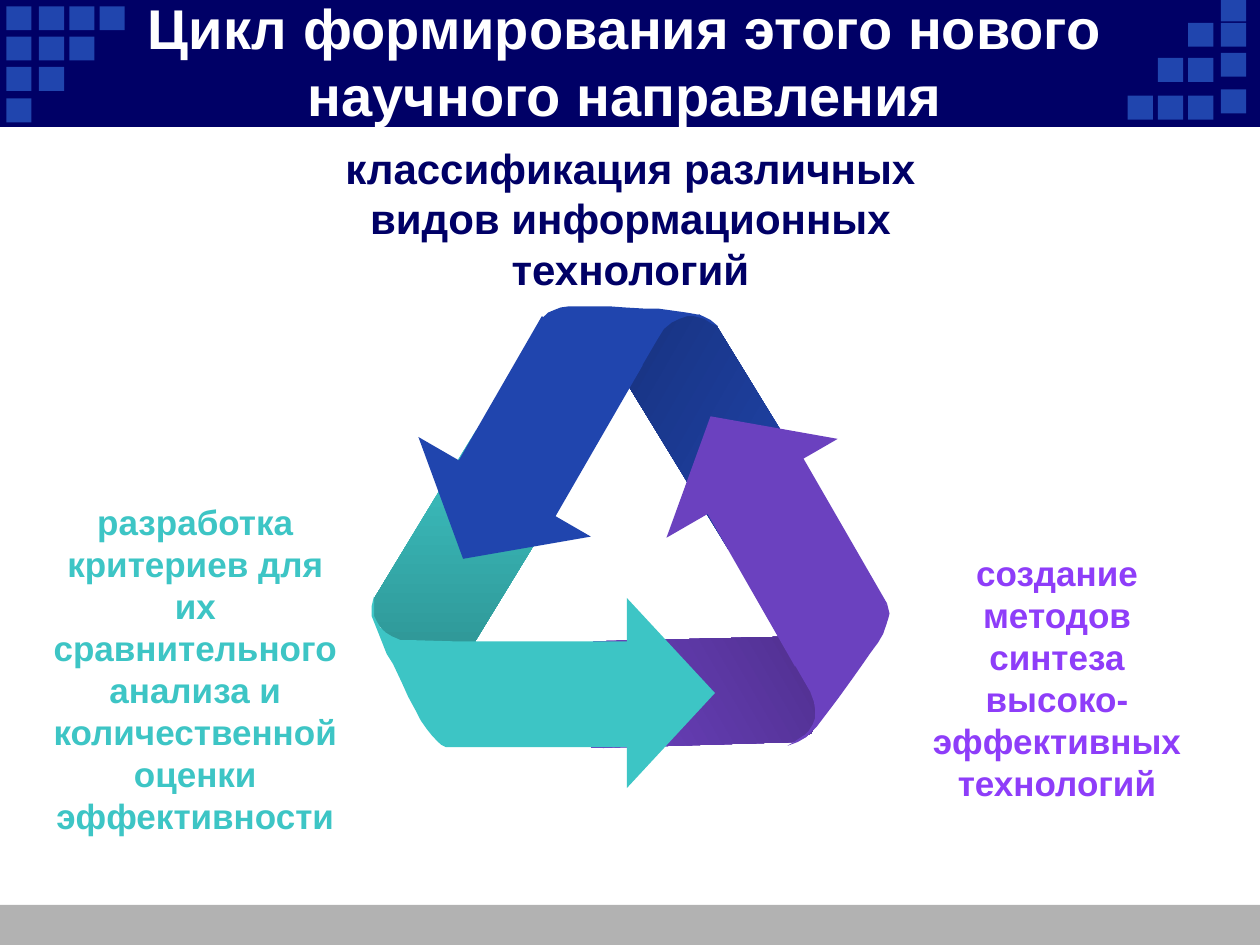
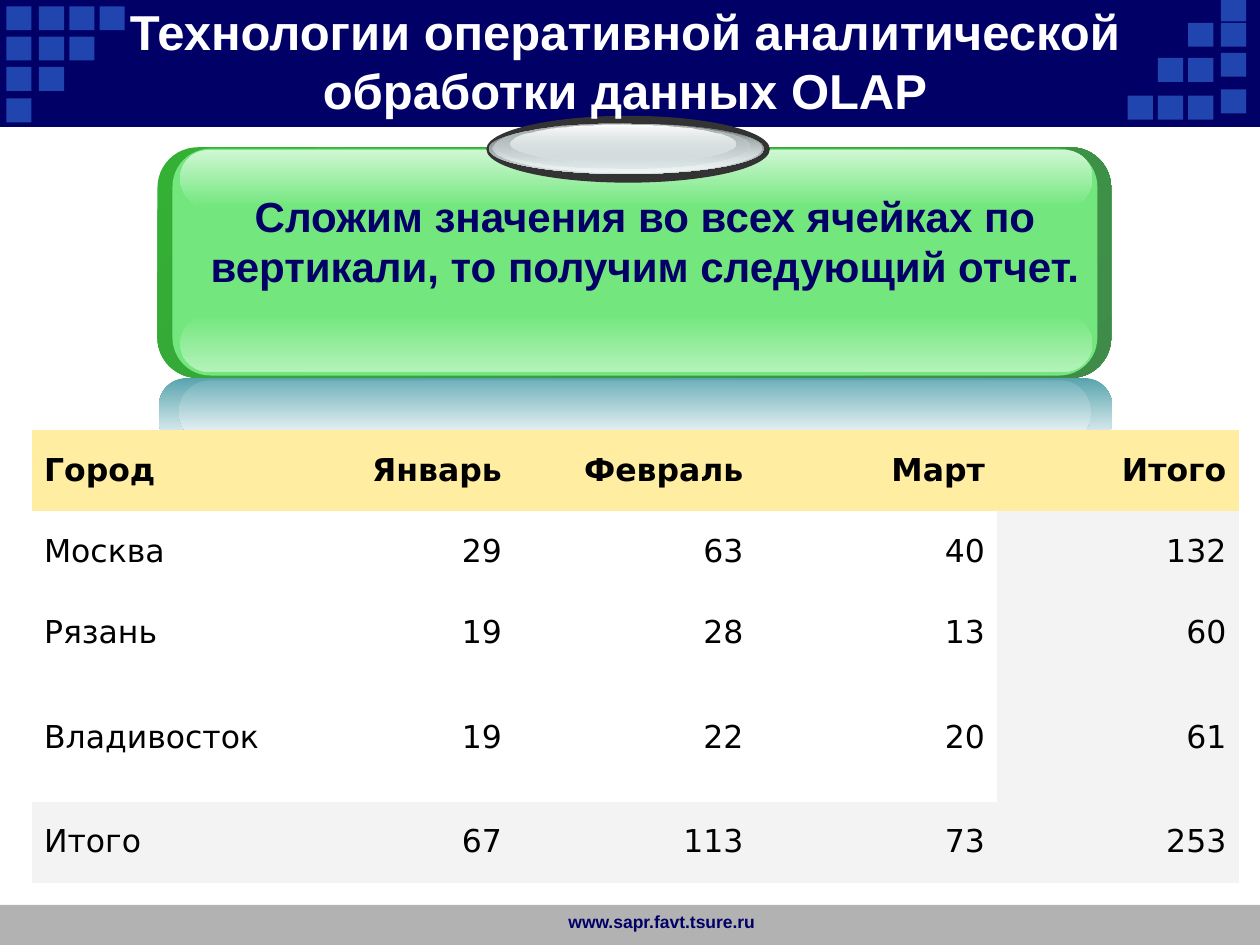
"""Build two slides: the cycle of a new research field and an OLAP summary report."""
from dataclasses import dataclass
from typing import NamedTuple

from lxml import etree
from pptx import Presentation
from pptx import util as u
from pptx.dml import color
from pptx.enum import shapes, text
from pptx.oxml import ns

NAVY, BLUE, TEAL, PURPLE = "000066", "2045AE", "3DC5C5", "6B41BF"
VIOLET, WHITE, BLACK, GRAY = "8E3DF9", "FFFFFF", "000000", "B2B2B2"
GREEN, SILVER = "73E77E", "D6E1E2"
HEADER_FILL, TOTAL_FILL = "FFEDA1", "F3F3F3"
NO_GRID_STYLE = "{2D5ABB26-0587-4C30-8999-92F81FD0307C}"

RECT = shapes.MSO_SHAPE.RECTANGLE
ROUND = shapes.MSO_SHAPE.ROUNDED_RECTANGLE
OVAL = shapes.MSO_SHAPE.OVAL
TRIANGLE = shapes.MSO_SHAPE.ISOSCELES_TRIANGLE
LEFT, CENTER, RIGHT = text.PP_ALIGN.LEFT, text.PP_ALIGN.CENTER, text.PP_ALIGN.RIGHT
TOP, MIDDLE = text.MSO_ANCHOR.TOP, text.MSO_ANCHOR.MIDDLE


class Gradient(NamedTuple):
    """Two-colour gradient; the angle is clockwise and alphas are percentages."""
    start: str
    end: str
    angle: float = 90
    start_alpha: int = 100
    end_alpha: int = 100


@dataclass
class Figure:
    """Preset shape with its box in points."""
    kind: shapes.MSO_SHAPE
    box: tuple
    fill: str | Gradient
    adjustment: float | None = None
    rotation: float = 0


@dataclass
class Outline:
    """Closed polygon with its vertices in points."""
    fill: str | Gradient
    points: list


@dataclass
class Label:
    """Text in a box given in points."""
    content: str
    box: tuple
    size: float
    color: str
    align: text.PP_ALIGN = CENTER
    anchor: text.MSO_ANCHOR = TOP


TEAL_BAND = Outline(Gradient(TEAL, "2C8D8D"), [
    (326.9, 275.8), (251.3, 399.6), (213.1, 352.8), (213.8, 342), (272.2, 245.5)])
BLUE_BAND = Outline(Gradient(BLUE, "17317C", 210), [
    (416.2, 313.9), (338.4, 186.5), (399.6, 180), (409.7, 186.5), (470.2, 285.1)])
BLUE_ARM = Outline(BLUE, [
    (308.2, 311), (367.2, 208.8), (338.4, 193), (309.6, 180.7), (252.7, 279.4)])
BLUE_FOLD = Outline(BLUE, [
    (363.6, 214.6), (308.9, 182.9), (311, 180.7), (313.2, 178.6), (316.8, 177.1),
    (320.4, 175.7), (325.4, 175), (347.8, 175), (357.1, 175.7), (369.4, 176.4),
    (376.6, 176.4), (392.4, 178.6), (400.3, 180), (406.1, 182.9), (410.4, 186.5),
    (406.8, 185), (402.5, 182.2), (399.6, 181.4), (396.7, 180.7), (392.4, 180.7),
    (388.1, 182.2), (383.8, 184.3), (379.4, 187.9), (375.8, 193.7)])
PURPLE_BAND = Outline(Gradient(PURPLE, "4D2E89", 330), [
    (339.1, 366.5), (488.9, 362.9), (463.7, 419), (452.9, 424.1), (337.7, 427.7)])
PURPLE_ARM = Outline(PURPLE, [
    (395.3, 277.9), (454.3, 380.9), (482.4, 364.3), (506.9, 344.9), (450, 246.2)])
PURPLE_FOLD = Outline(PURPLE, [
    (452.2, 376.6), (506.9, 344.9), (507.6, 347.8), (508.3, 350.6), (507.6, 353.5),
    (506.2, 357.8), (504.7, 362.2), (501.8, 367.2), (497.5, 373), (492.5, 380.2),
    (487.4, 387.4), (480.2, 397.4), (475.9, 403.2), (466.6, 415.4), (460.8, 421.2),
    (455.8, 424.1), (450, 426.2), (453.6, 424.1), (457.9, 421.2), (460.1, 419.8),
    (462.2, 417.6), (464.4, 414), (465.8, 410.4), (465.8, 405.4), (465.1, 401),
    (463, 395.3)])
TEAL_FOLD = Outline(TEAL, [
    (258.5, 366.5), (258.5, 427), (254.9, 427), (252, 425.5), (249.8, 423.4),
    (247, 420.5), (244.1, 416.9), (240.5, 411.8), (237.6, 406.1), (233.3, 398.2),
    (229.7, 390.2), (224.6, 379.4), (221, 373.7), (215.3, 359.3), (212.4, 352.1),
    (212.4, 346.3), (213.8, 340.6), (213.8, 352.1), (215.3, 355), (217.4, 358.6),
    (220.3, 361.4), (223.9, 363.6), (229, 365.8), (235.4, 365.8)])
TEAL_ARM = Outline(TEAL, [
    (253.4, 366.5), (254.2, 397.4), (258.5, 427), (379.4, 427), (379.4, 366.5)])

CYCLE = [
    TEAL_BAND, BLUE_BAND,
    Figure(TRIANGLE, (219.6, 275, 113.8, 47.5), BLUE, rotation=210),
    BLUE_ARM, BLUE_FOLD, PURPLE_BAND,
    Figure(TRIANGLE, (361.4, 234.7, 113, 47.5), PURPLE, rotation=330),
    PURPLE_ARM, PURPLE_FOLD, TEAL_FOLD,
    Figure(TRIANGLE, (329, 370.8, 108.7, 50.4), TEAL, rotation=90),
    TEAL_ARM,
]
CYCLE_LABELS = [
    Label("создание методов синтеза высоко-эффективных технологий",
          (516.2, 311.8, 175.7, 151.2), 20, VIOLET),
    Label("разработка критериев для их сравнительного анализа и количественной "
          "оценки эффективности", (18, 282.2, 187.2, 199.4), 20, TEAL),
    Label("классификация различных видов информационных технологий",
          (174.2, 77.8, 372.2, 93.6), 24, NAVY),
]

PLAQUE = [
    Figure(ROUND, (90, 84.2, 545, 131.8), Gradient("34B034", "3F8B4A", 45), 0.175),
    Figure(ROUND, (98.6, 85, 528.5, 129.6), GREEN, 0.167),
    Figure(ROUND, (103, 180, 521.3, 32.4), Gradient(GREEN, "B3F2B9"), 0.5),
    Figure(ROUND, (103, 85.7, 521.3, 32.4), Gradient("D0F7D4", GREEN), 0.5),
    Figure(OVAL, (277.9, 66.2, 162, 38.2), "333333"),
    Figure(OVAL, (279.4, 70.6, 157, 28.8), Gradient("636869", SILVER)),
    Figure(OVAL, (281.5, 70.6, 153.4, 28.1), Gradient(SILVER, "F1F5F5", start_alpha=0)),
    Figure(OVAL, (283, 70.6, 145.4, 25.9), Gradient("AAB2B3", SILVER, end_alpha=48)),
    Figure(OVAL, (291.6, 71.3, 128.9, 21.6), Gradient(WHITE, SILVER, end_alpha=38)),
    Figure(ROUND, (90.7, 216, 545, 40.3), Gradient("58A4AE", WHITE), 0.404),
    Figure(ROUND, (102.2, 217.4, 521.3, 36), Gradient("72B2BB", WHITE), 0.5),
]
REPORT_LABELS = [
    Label("Сложим значения во всех ячейках по вертикали, то получим следующий отчет.",
          (109.4, 105.1, 518.4, 65.5), 24, NAVY),
    Label("www.sapr.favt.tsure.ru", (300.2, 517, 138.2, 23), 10, NAVY, RIGHT),
]
REPORT = [
    ("Город", "Январь", "Февраль", "Март", "Итого"),
    ("Москва", "29", "63", "40", "132"),
    ("Рязань", "19", "28", "13", "60"),
    ("Владивосток", "19", "22", "20", "61"),
    ("Итого", "67", "113", "73", "253"),
]
ROW_HEIGHTS = (46.3, 46.3, 46.3, 73.2, 46.3)
COLUMN_WIDTH = 138

SQUARE = (14.4, 13.7)
LEFT_COLUMNS, LEFT_ROWS = (3.6, 22.3, 39.6, 56.9), (3.6, 20.9, 38.2, 56.2)
RIGHT_COLUMNS, RIGHT_ROWS = (644.4, 661.7, 679), (54.7, 33.1, 13)
EDGE_COLUMN, EDGE_ROWS = 697.7, (-1.4, 13, 30.2, 51.1)


def rgb(value: str) -> color.RGBColor:
    """Turn a hex string into a colour."""
    return color.RGBColor.from_string(value)


def paint(fill, look: str | Gradient) -> None:
    """Apply a solid or gradient fill."""
    if isinstance(look, str):
        fill.solid()
        fill.fore_color.rgb = rgb(look)
        return
    fill.gradient()
    fill.gradient_angle = (360 - look.angle) % 360
    colors = (look.start, look.end)
    alphas = (look.start_alpha, look.end_alpha)
    for stop, value, alpha, position in zip(fill.gradient_stops, colors, alphas, (0, 1)):
        stop.color.rgb = rgb(value)
        stop.position = position
        if alpha < 100:
            element = stop._gs.find(ns.qn("a:srgbClr"))
            etree.SubElement(element, ns.qn("a:alpha"), val=str(alpha * 1000))


def finish(shape, look: str | Gradient) -> None:
    """Fill a shape and remove its line and shadow."""
    paint(shape.fill, look)
    shape.line.fill.background()
    shape.shadow.inherit = False


def draw_figure(slide, figure: Figure):
    """Draw a preset shape."""
    shape = slide.shapes.add_shape(figure.kind, *map(u.Pt, figure.box))
    finish(shape, figure.fill)
    shape.rotation = figure.rotation
    if figure.adjustment is not None:
        shape.adjustments[0] = figure.adjustment
    return shape


def draw_outline(slide, outline: Outline) -> None:
    """Draw a closed polygon."""
    start, *rest = [(u.Pt(x), u.Pt(y)) for x, y in outline.points]
    builder = slide.shapes.build_freeform(*start)
    builder.add_line_segments(rest, close=True)
    finish(builder.convert_to_shape(), outline.fill)


def draw_all(slide, items: list) -> None:
    """Draw figures and outlines from back to front."""
    for item in items:
        if isinstance(item, Outline):
            draw_outline(slide, item)
        else:
            draw_figure(slide, item)


def write(frame, content: str, *, size: float, ink: str = BLACK, bold: bool = True,
          font: str = "Arial", align: text.PP_ALIGN = CENTER) -> None:
    """Write one formatted paragraph into a text frame."""
    paragraph = frame.paragraphs[0]
    paragraph.alignment = align
    run = paragraph.add_run()
    run.text = content
    run.font.name, run.font.size, run.font.bold = font, u.Pt(size), bold
    run.font.color.rgb = rgb(ink)


def draw_label(slide, label: Label) -> None:
    """Draw a wrapped text box."""
    frame = slide.shapes.add_textbox(*map(u.Pt, label.box)).text_frame
    frame.word_wrap = True
    frame.vertical_anchor = label.anchor
    write(frame, label.content, size=label.size, ink=label.color, align=label.align)


def add_base_slide(presentation):
    """Add a blank slide with the shared bands and corner squares."""
    slide = presentation.slides.add_slide(presentation.slide_layouts[6])
    draw_figure(slide, Figure(RECT, (0, 517, 720, 23), GRAY))
    header = draw_figure(slide, Figure(RECT, (0, 0, 720, 72), NAVY))
    header.line.color.rgb = rgb(NAVY)
    header.line.width = u.Pt(0.75)
    corners = [(x, y) for row, y in enumerate(LEFT_ROWS)
               for x in LEFT_COLUMNS[:len(LEFT_COLUMNS) - row]]
    corners += [(x, y) for column, x in enumerate(RIGHT_COLUMNS)
                for y in RIGHT_ROWS[:column + 1]]
    corners += [(EDGE_COLUMN, y) for y in EDGE_ROWS]
    for corner in corners:
        draw_figure(slide, Figure(RECT, corner + SQUARE, BLUE))
    return slide


def draw_title(slide, content: str, size: float) -> None:
    """Draw the slide title over the header band."""
    draw_label(slide, Label(content, (66.2, 12.2, 581.8, 44.6), size, WHITE, anchor=MIDDLE))


def draw_report(slide) -> None:
    """Draw the city report with highlighted header and totals."""
    last_row, last_column = len(REPORT) - 1, len(REPORT[0]) - 1
    box = (18, 246, COLUMN_WIDTH * len(REPORT[0]), sum(ROW_HEIGHTS))
    table = slide.shapes.add_table(len(REPORT), len(REPORT[0]), *map(u.Pt, box)).table
    table.first_row = table.horz_banding = False
    table._tbl.tblPr.find(ns.qn("a:tableStyleId")).text = NO_GRID_STYLE
    for column in table.columns:
        column.width = u.Pt(COLUMN_WIDTH)
    for r, values in enumerate(REPORT):
        table.rows[r].height = u.Pt(ROW_HEIGHTS[r])
        for c, value in enumerate(values):
            cell = table.cell(r, c)
            cell.vertical_anchor = MIDDLE
            if r == 0:
                paint(cell.fill, HEADER_FILL)
            elif r == last_row or c == last_column:
                paint(cell.fill, TOTAL_FILL)
            else:
                cell.fill.background()
            write(cell.text_frame, value, size=18, bold=r == 0, font="DejaVu Sans",
                  align=RIGHT if c else LEFT)


def main() -> None:
    """Build and save the presentation."""
    presentation = Presentation()
    presentation.slide_width, presentation.slide_height = u.Pt(720), u.Pt(540)

    cycle = add_base_slide(presentation)
    draw_title(cycle, "Цикл формирования этого нового научного направления", 32)
    draw_all(cycle, CYCLE)
    for label in CYCLE_LABELS:
        draw_label(cycle, label)

    report = add_base_slide(presentation)
    draw_all(report, PLAQUE)
    for label in REPORT_LABELS:
        draw_label(report, label)
    draw_title(report, "Технологии оперативной аналитической обработки данных OLAP", 28)
    draw_report(report)
    presentation.save("out.pptx")


if __name__ == "__main__":
    main()
